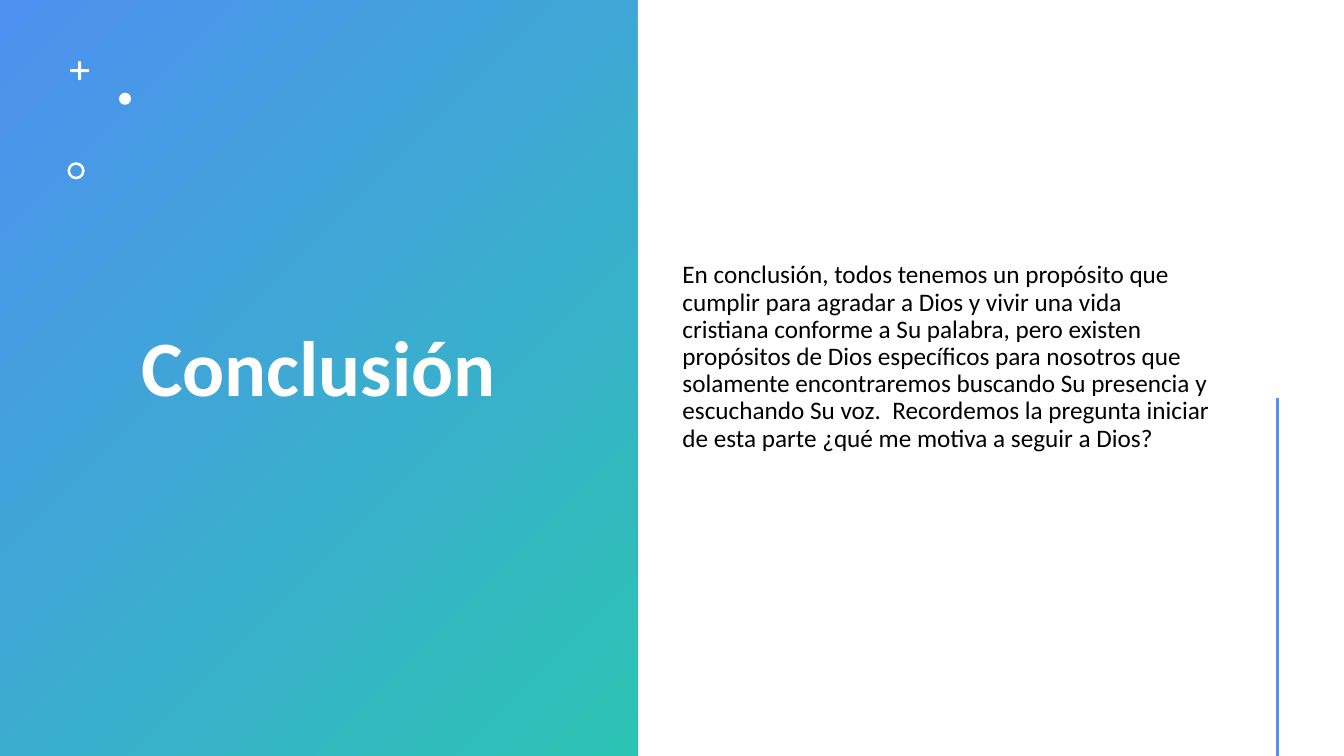
from lxml.etree import SubElement
from pptx import Presentation
from pptx.dml.color import RGBColor
from pptx.enum.shapes import MSO_CONNECTOR, MSO_SHAPE
from pptx.enum.text import MSO_ANCHOR, MSO_AUTO_SIZE, PP_ALIGN
from pptx.oxml.ns import qn
from pptx.util import Inches, Pt

BLUE, TEAL, WHITE, BLACK = "4E91F0", "2CC3B4", "FFFFFF", "000000"
CONCLUSION = (
    "En conclusión, todos tenemos un propósito que cumplir para agradar a Dios "
    "y vivir una vida cristiana conforme a Su palabra, pero existen propósitos "
    "de Dios específicos para nosotros que solamente encontraremos buscando Su "
    "presencia y escuchando Su voz.  Recordemos la pregunta iniciar de esta "
    "parte ¿qué me motiva a seguir a Dios?"
)


def color(value):
    return RGBColor.from_string(value)


def add_plain_shape(slide, kind, left, top, width, height, fill=WHITE):
    shape = slide.shapes.add_shape(
        kind, Inches(left), Inches(top), Inches(width), Inches(height))
    shape.shadow.inherit = False
    shape.line.fill.background()
    shape.fill.solid()
    shape.fill.fore_color.rgb = color(fill)
    return shape


def add_gradient_panel(slide):
    panel = add_plain_shape(slide, MSO_SHAPE.RECTANGLE, 0, 0, 6.32, 7.5, BLUE)
    panel.fill.gradient()
    panel.fill.gradient_angle = 315
    for stop, value in zip(panel.fill.gradient_stops, (BLUE, TEAL)):
        stop.color.rgb = color(value)
    # The title placeholder has to lie in front of the panel.
    slide.shapes.title.element.addprevious(panel.element)


def add_ornaments(slide):
    """Draw the plus, the dot and the ring."""
    size, thickness = 0.19, 0.03
    center_x, center_y = 0.79, 0.7
    for width, height in ((size, thickness), (thickness, size)):
        bar = add_plain_shape(
            slide, MSO_SHAPE.ROUNDED_RECTANGLE,
            center_x - width / 2, center_y - height / 2, width, height)
        bar.adjustments[0] = 0.5
    add_plain_shape(slide, MSO_SHAPE.OVAL, 1.18, 0.92, 0.12, 0.12)
    ring = add_plain_shape(slide, MSO_SHAPE.DONUT, 0.67, 1.61, 0.17, 0.17)
    ring.adjustments[0] = 0.15


def write_text(box, text, size, value, bold=False):
    frame = box.text_frame
    frame.text = text
    frame.word_wrap = True
    frame.auto_size = MSO_AUTO_SIZE.NONE
    frame.vertical_anchor = MSO_ANCHOR.MIDDLE
    para = frame.paragraphs[0]
    para.alignment = PP_ALIGN.LEFT
    para.line_spacing = 0.9
    font = para.runs[0].font
    font.name = "Calibri"
    font.size = Pt(size)
    font.bold = bold
    font.color.rgb = color(value)


def add_title(slide):
    title = slide.shapes.title
    title.left, title.top = Inches(1.3), Inches(0.42)
    title.width, title.height = Inches(4.38), Inches(6.53)
    write_text(title, "Conclusión", 56, WHITE, bold=True)


def add_body(slide):
    box = slide.shapes.add_textbox(
        Inches(6.67), Inches(0.42), Inches(5.45), Inches(6.53))
    write_text(box, CONCLUSION, 18, BLACK)
    box.text_frame.margin_bottom = Inches(0.33)


def add_accent_line(slide):
    x = Inches(12.67)
    line = slide.shapes.add_connector(
        MSO_CONNECTOR.STRAIGHT, x, Inches(3.95), x, Inches(7.5))
    line.line.width = Pt(2)
    line.line.color.rgb = color(BLUE)
    SubElement(line.element.spPr, qn("a:effectLst"))


def main():
    deck = Presentation()
    deck.slide_width, deck.slide_height = Inches(13.33), Inches(7.5)
    slide = deck.slides.add_slide(deck.slide_layouts[5])
    add_gradient_panel(slide)
    add_title(slide)
    add_ornaments(slide)
    add_body(slide)
    add_accent_line(slide)
    deck.save("out.pptx")


if __name__ == "__main__":
    main()
